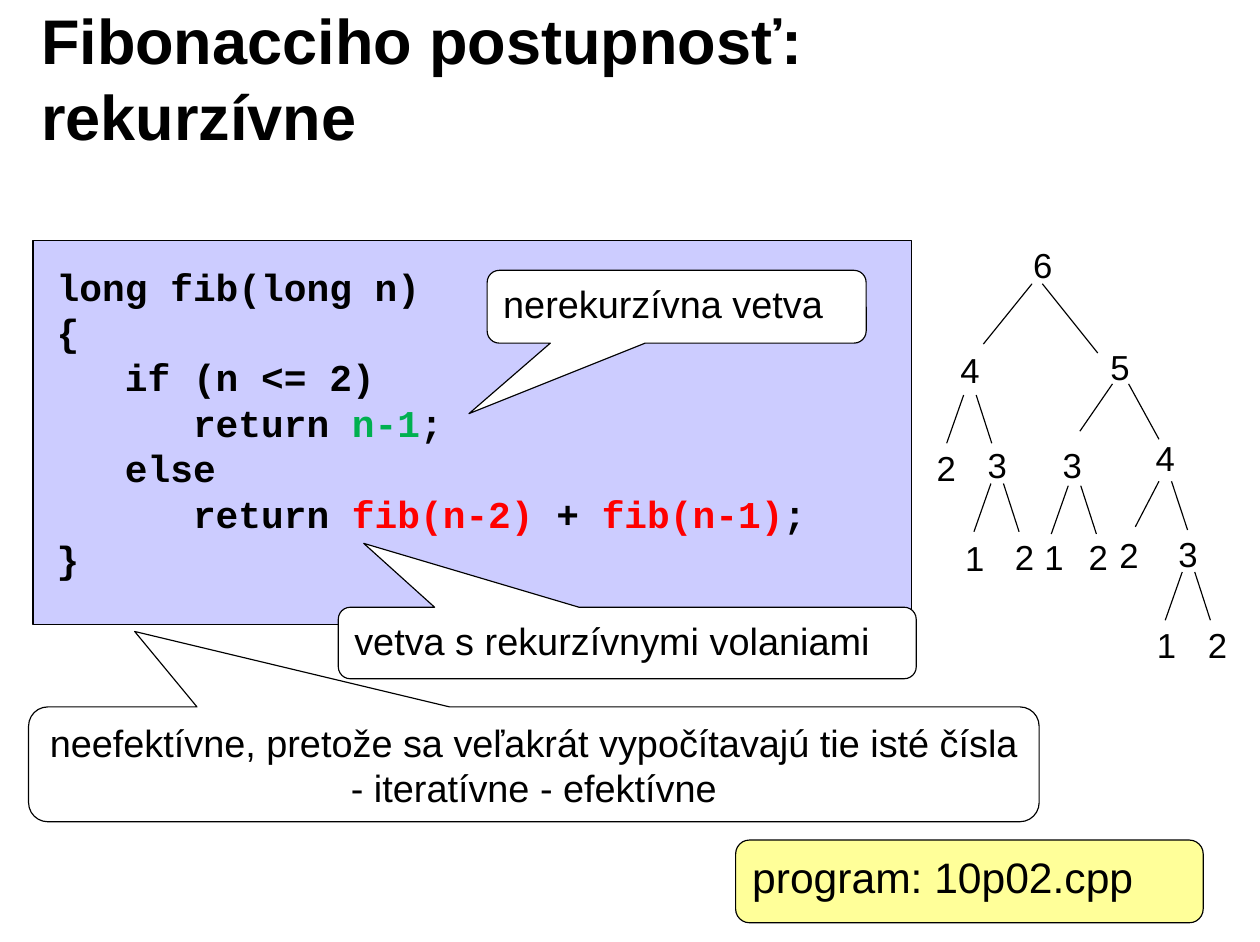
from pptx import Presentation
from pptx import util as u
from pptx.dml.color import RGBColor
from pptx.enum import shapes, text
from pptx.oxml.ns import qn
from lxml import etree

BLACK = RGBColor(0x00, 0x00, 0x00)
WHITE = RGBColor(0xFF, 0xFF, 0xFF)
LILAC = RGBColor(0xCC, 0xCC, 0xFF)
YELLOW = RGBColor(0xFF, 0xFF, 0x99)
GREEN = RGBColor(0x00, 0xB0, 0x50)
RED = RGBColor(0xFF, 0x00, 0x00)

CODE = [
    [("long fib(long n)", BLACK)],
    [("{", BLACK)],
    [("   if (n <= 2)", BLACK)],
    [("      return ", BLACK), ("n-1", GREEN), (";", BLACK)],
    [("   else", BLACK)],
    [("      return ", BLACK), ("fib(n-2)", RED), (" + ", BLACK),
     ("fib(n-1)", RED), (";", BLACK)],
    [("}", BLACK)],
]

# Call tree: label, left, top
NODES = [
    ("6", 22.86, 5.33), ("4", 21.23, 7.67), ("5", 24.59, 7.62),
    ("2", 20.7, 9.86), ("3", 21.84, 9.8), ("3", 23.52, 9.8), ("4", 25.6, 9.65),
    ("1", 21.34, 11.89), ("2", 22.45, 11.86), ("1", 23.11, 11.86),
    ("2", 24.1, 11.86), ("2", 24.79, 11.81), ("3", 26.11, 11.79),
    ("1", 25.63, 13.84), ("2", 26.77, 13.84),
]
# Wide branches: start, end
BRANCHES = [
    (23.09, 6.35, 22, 7.7), (23.32, 6.35, 24.56, 7.9),
    (24.89, 8.59, 24.16, 9.65), (25.25, 8.59, 25.93, 9.83),
    (25.93, 10.77, 25.4, 11.79), (26.21, 10.77, 26.57, 11.86),
]
# Narrow forks of equal shape: left start
FORKS = [(21.56, 8.84), (22.17, 10.82), (23.9, 10.87), (26.45, 12.8)]


class SlideBuilder:
    font = "Arial"
    code_font = "Courier New"
    line_width = u.Pt(0.75)
    leading = 1.2

    def __init__(self, page):
        self.page = page

    def fill_text(self, box, lines, size, font=None, bold=False, align=None,
                  inset=(0.28, 0.15), wrap=True, anchor=text.MSO_ANCHOR.TOP):
        frame = box.text_frame
        frame.word_wrap = wrap
        frame.vertical_anchor = anchor
        frame.margin_left = frame.margin_right = u.Cm(inset[0])
        frame.margin_top = frame.margin_bottom = u.Cm(inset[1])
        for index, spans in enumerate(lines):
            para = frame.add_paragraph() if index else frame.paragraphs[0]
            para.alignment = align or text.PP_ALIGN.LEFT
            para.line_spacing = u.Pt(round(size * self.leading, 1))
            for words, color in spans:
                span = para.add_run()
                span.text = words
                span.font.name = font or self.font
                span.font.size = u.Pt(size)
                span.font.bold = bold
                span.font.color.rgb = color

    def label(self, place, lines, size, **style):
        box = self.page.shapes.add_textbox(*map(u.Cm, place))
        self.fill_text(box, lines, size, **style)

    def panel(self, kind, place, fill, adjust=()):
        box = self.page.shapes.add_shape(kind, *map(u.Cm, place))
        box.shadow.inherit = False
        box.fill.solid()
        box.fill.fore_color.rgb = fill
        box.line.color.rgb = BLACK
        box.line.width = self.line_width
        for index, value in enumerate(adjust):
            box.adjustments[index] = value
        return box

    def callout(self, place, tip, words, align=None):
        kind = shapes.MSO_SHAPE.ROUNDED_RECTANGULAR_CALLOUT
        box = self.panel(kind, place, WHITE, (*tip, 0.167))
        self.fill_text(box, [[(words, BLACK)]], 24, align=align)

    def branch(self, *ends):
        line = self.page.shapes.add_connector(
            shapes.MSO_CONNECTOR.STRAIGHT, *map(u.Cm, ends))
        line.line.color.rgb = BLACK
        line.line.width = self.line_width
        etree.SubElement(line._element.spPr, qn("a:effectLst"))

    def fork(self, x, y):
        self.branch(x, y, x - 0.38, y + 1.08)
        self.branch(x + 0.28, y, x + 0.63, y + 1.08)


def main():
    deck = Presentation()
    deck.slide_width, deck.slide_height = u.Cm(28.19), u.Cm(21.08)
    slide = SlideBuilder(deck.slides.add_slide(deck.slide_layouts[6]))

    # Title
    slide.label((0.64, 0.43, 22.63, 2.59),
                [[("Fibonacciho postupnosť: rekurzívne", BLACK)]], 40,
                bold=True, anchor=text.MSO_ANCHOR.MIDDLE)

    # Code panel
    slide.panel(shapes.MSO_SHAPE.RECTANGLE, (0.74, 5.38, 19.66, 8.59), LILAC)
    slide.label((0.99, 5.74, 19.18, 7.47), CODE, 24,
                font=slide.code_font, bold=True)

    # Efficiency remark
    slide.callout((0.64, 15.82, 22.61, 2.57), (-0.395, -1.157),
                  "neefektívne, pretože sa veľakrát vypočítavajú tie isté "
                  "čísla - iteratívne - efektívne", text.PP_ALIGN.CENTER)

    # Call tree
    for number, left, top in NODES:
        slide.label((left, top, 0.94, 1.19), [[(number, BLACK)]], 22,
                    align=text.PP_ALIGN.CENTER, inset=(0.25, 0.13), wrap=False)
    for ends in BRANCHES:
        slide.branch(*ends)
    for start in FORKS:
        slide.fork(*start)

    # Callouts on the code
    slide.callout((10.9, 6.05, 8.48, 1.63), (-0.548, 1.468),
                  "nerekurzívna vetva")
    slide.callout((7.57, 13.59, 12.93, 1.6), (-0.456, -1.394),
                  "vetva s rekurzívnymi volaniami")

    # Program file
    program = slide.panel(shapes.MSO_SHAPE.ROUNDED_RECTANGLE,
                          (16.46, 18.8, 10.46, 1.85), YELLOW, (0.167,))
    slide.fill_text(program, [[("program: 10p02.cpp", BLACK)]], 27)

    deck.save("out.pptx")


if __name__ == "__main__":
    main()
